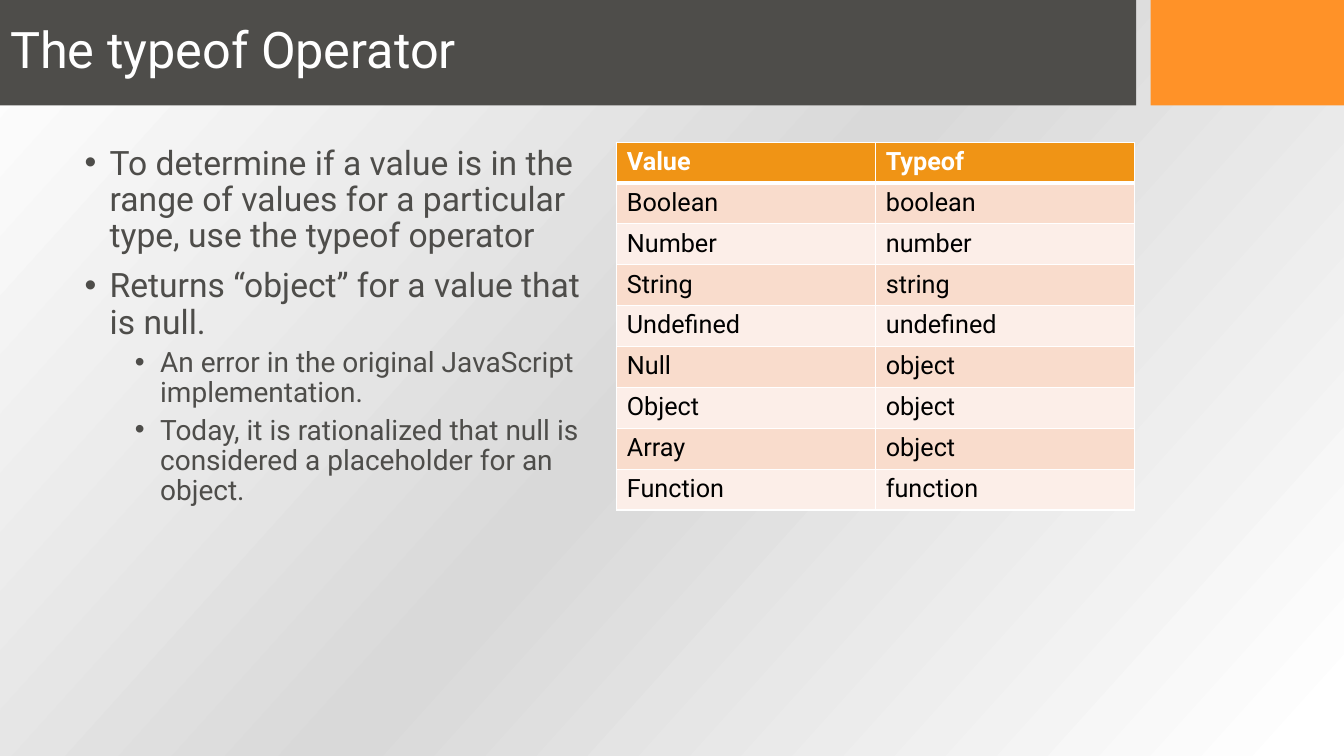
from copy import deepcopy

from lxml import etree
from pptx import Presentation
from pptx.dml.color import RGBColor
from pptx.enum import shapes, text
from pptx.oxml import ns
from pptx.util import Pt

FONT = "Roboto"
COLORS = {
    "dark": "4E4D4A", "accent": "FF9228", "header": "F09415",
    "odd_row": "F9DCCC", "even_row": "FCEEE8",
    "white": "FFFFFF", "gray": "D9D9D9", "black": "000000",
}
BULLETS = [
    (0, "To determine if a value is in the range of values for a particular type, use the typeof operator"),
    (0, "Returns “object” for a value that is null."),
    (1, "An error in the original JavaScript implementation."),
    (1, "Today, it is rationalized that null is considered a placeholder for an object."),
]
ROWS = [
    ("Value", "Typeof"), ("Boolean", "boolean"), ("Number", "number"),
    ("String", "string"), ("Undefined", "undefined"), ("Null", "object"),
    ("Object", "object"), ("Array", "object"), ("Function", "function"),
]


def rgb(name):
    return RGBColor.from_string(COLORS[name])


def format_runs(p, size, color, bold=False):
    for r in p.runs:
        r.font.name = FONT
        r.font.size = Pt(size)
        r.font.bold = bold
        r.font.color.rgb = rgb(color)


def set_background(s):
    fill = s.background.fill
    fill.gradient()
    stop_list = s.element.find(".//" + ns.qn("a:gsLst"))
    stop_list.append(deepcopy(stop_list[0]))
    stops = [(0, "white"), (0.5, "gray"), (0.98, "white")]
    for stop, (position, color) in zip(fill.gradient_stops, stops):
        stop.position = position
        stop.color.rgb = rgb(color)
    fill.gradient_angle = 318


def add_bar(s, left, width, color):
    sp = s.shapes.add_shape(shapes.MSO_SHAPE.RECTANGLE, Pt(left), Pt(-0.7), Pt(width), Pt(76))
    sp.shadow.inherit = False
    sp.fill.solid()
    sp.fill.fore_color.rgb = rgb(color)
    sp.line.fill.background()


def set_title(s, title):
    sp = s.shapes.title
    sp.left, sp.top, sp.width, sp.height = Pt(0), Pt(-0.7), Pt(811), Pt(76)
    tf = sp.text_frame
    tf.text = title
    tf.auto_size = text.MSO_AUTO_SIZE.NONE
    tf.vertical_anchor = text.MSO_ANCHOR.MIDDLE
    p = tf.paragraphs[0]
    p.alignment = text.PP_ALIGN.LEFT
    p.line_spacing = 0.9
    format_runs(p, 36, "white")
    # Bring the title in front of the bars.
    sp.element.getparent().append(sp.element)


def add_bullets(s, items):
    tf = s.shapes.add_textbox(Pt(53.3), Pt(100.8), Pt(370), Pt(370)).text_frame
    tf.word_wrap = True
    for i, (level, line) in enumerate(items):
        p = tf.paragraphs[0] if i == 0 else tf.add_paragraph()
        p.text = line
        p.level = level
        p.line_spacing = 0.9
        p.space_before = Pt(5 if level else 10)
        format_runs(p, 20 if level else 24, "dark")
        pPr = p._p.get_or_add_pPr()
        pPr.set("marL", str(Pt(18 + 36 * level)))
        pPr.set("indent", str(Pt(-18)))
        etree.SubElement(pPr, ns.qn("a:buFont"), typeface="Arial")
        etree.SubElement(pPr, ns.qn("a:buChar"), char="•")


def set_borders(cell, bottom):
    """Draw white borders, inserted ahead of the cell fill as the schema requires."""
    tcPr = cell._tc.get_or_add_tcPr()
    for i, side in enumerate(("lnL", "lnR", "lnT", "lnB")):
        ln = etree.Element(ns.qn("a:" + side), w=str(Pt(bottom if side == "lnB" else 1)))
        fill = etree.SubElement(ln, ns.qn("a:solidFill"))
        etree.SubElement(fill, ns.qn("a:srgbClr"), val=COLORS["white"])
        tcPr.insert(i, ln)


def add_type_table(s, rows):
    row_height = 29.2
    table = s.shapes.add_table(len(rows), 2, Pt(440.6), Pt(101.5),
                               Pt(370), Pt(row_height * len(rows))).table
    for i, row in enumerate(rows):
        table.rows[i].height = Pt(row_height)
        header = i == 0
        fill = "header" if header else "odd_row" if i % 2 else "even_row"
        for j, value in enumerate(row):
            cell = table.cell(i, j)
            cell.text_frame.text = value
            format_runs(cell.text_frame.paragraphs[0], 18,
                        "white" if header else "black", header)
            cell.fill.solid()
            cell.fill.fore_color.rgb = rgb(fill)
            # The thick rule under the header is shared with the row below.
            set_borders(cell, 3 if header else 1)
            if i == 1:
                cell._tc.tcPr.find(ns.qn("a:lnT")).set("w", str(Pt(3)))


def main():
    prs = Presentation()
    prs.slide_width, prs.slide_height = Pt(960), Pt(540)
    s = prs.slides.add_slide(prs.slide_layouts[5])
    set_background(s)
    add_bar(s, 0, 811.5, "dark")
    add_bar(s, 822, 138, "accent")
    add_bullets(s, BULLETS)
    add_type_table(s, ROWS)
    set_title(s, "The typeof Operator")
    prs.save("out.pptx")


if __name__ == "__main__":
    main()
